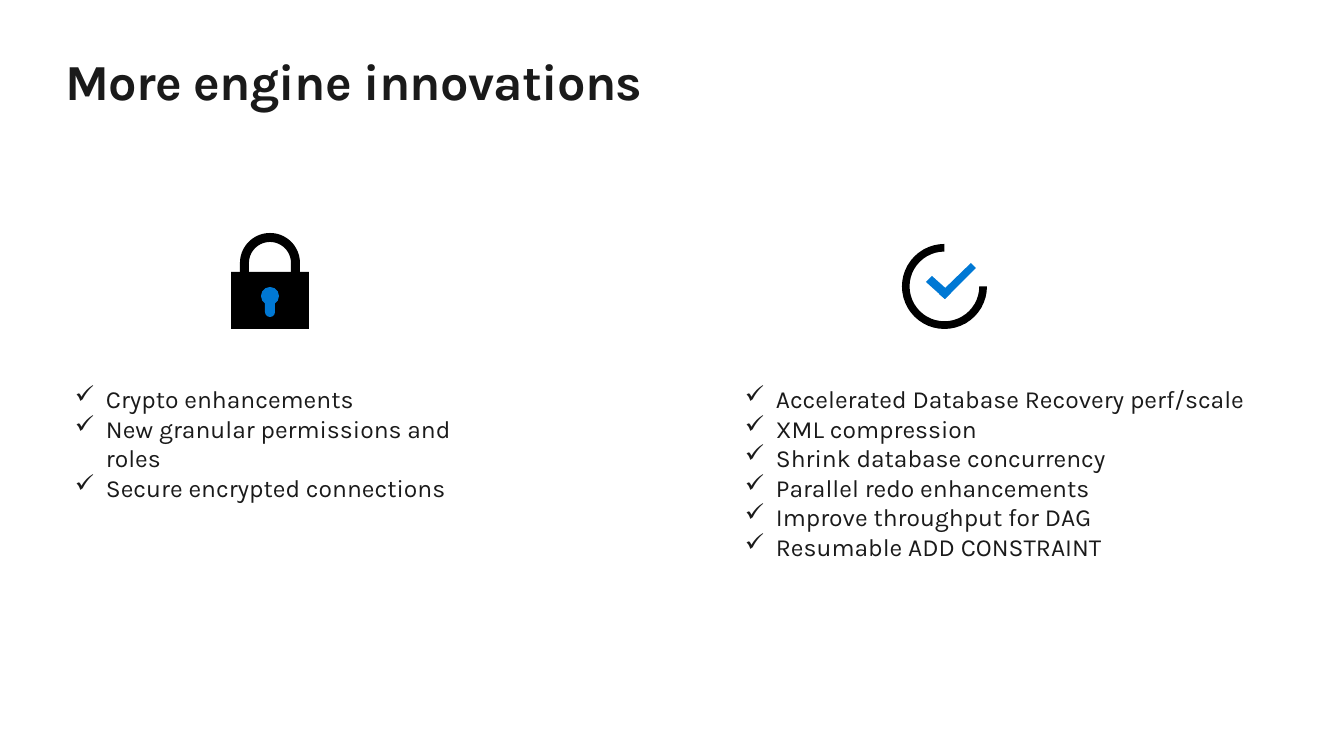
"""Build the "More engine innovations" slide with two icon-topped checklists."""
from math import cos, pi, sin

from lxml.etree import SubElement
from pptx import Presentation
from pptx.dml.color import RGBColor
from pptx.enum.shapes import MSO_SHAPE as SHAPE
from pptx.enum.text import MSO_ANCHOR as ANCHOR, PP_ALIGN as ALIGN
from pptx.oxml.ns import qn
from pptx.util import Pt

PX = 914400 / 100.8
FONT, INK, BLACK, BLUE = "Karla", "1A1A1A", "000000", "0078D4"


def px(*lengths):
    return [round(n * PX) for n in lengths]


def paint(fmt, color):
    if hasattr(fmt, "solid"):
        fmt.solid()
        fmt.fore_color.rgb = RGBColor.from_string(color)
    else:
        fmt.color.rgb = RGBColor.from_string(color)


prs = Presentation()
prs.slide_width, prs.slide_height = px(1344, 756)
s = prs.slides.add_slide(prs.slide_layouts[5])

title = s.shapes.title
title.left, title.top, title.width, title.height = px(65, 50, 1215, 61)
tf = title.text_frame
tf.margin_left = tf.margin_right = tf.margin_top = tf.margin_bottom = 0
tf.vertical_anchor = ANCHOR.TOP
tf.word_wrap = True
p = tf.paragraphs[0]
p.alignment = ALIGN.LEFT
p.space_after = Pt(12)
r = p.add_run()
r.text = "More engine innovations"
r.font.name, r.font.size, r.font.bold = FONT, Pt(36), True
paint(r.font, INK)
r.font._element.set("spc", "-50")

padlock = s.shapes.add_group_shape()
progress = s.shapes.add_group_shape()

presets = [
    (padlock, SHAPE.RECTANGLE, (231, 272, 78, 57), BLACK, []),
    (padlock, SHAPE.OVAL, (261, 287, 18, 18), BLUE, []),
    (padlock, SHAPE.ROUNDED_RECTANGLE, (265, 296, 10, 21), BLUE, [0.5]),
    (progress, SHAPE.BLOCK_ARC, (902, 244, 85, 85), BLACK, [0, 162, 0.09]),
]
for group, kind, box, color, adjustments in presets:
    sp = group.shapes.add_shape(kind, *px(*box))
    for i, value in enumerate(adjustments):
        sp.adjustments[i] = value
    sp.shadow.inherit = False
    sp.line.fill.background()
    paint(sp.fill, color)

angles = [pi * i / 36 for i in range(37)]
outer = [(270 - 30 * cos(a), 263 - 30 * sin(a)) for a in angles]
inner = [(270 + 21 * cos(a), 263 - 21 * sin(a)) for a in angles]
shackle = [(240, 282), *outer, (300, 282), (291, 282), *inner, (249, 282)]
long_stroke = [(939, 294), (945, 299), (976, 268), (971, 263)]
short_stroke = [(945, 299), (951, 293), (932, 276), (926, 282)]
for group, outline, color in [
    (padlock, shackle, BLACK),
    (progress, long_stroke, BLUE),
    (progress, short_stroke, BLUE),
]:
    start, *rest = [px(*point) for point in outline]
    fb = group.shapes.build_freeform(*start)
    fb.add_line_segments(rest, close=True)
    sp = fb.convert_to_shape()
    sp.shadow.inherit = False
    sp.line.fill.background()
    paint(sp.fill, color)

checklists = [
    ((65, 379, 450, 100), [
        "Crypto enhancements",
        "New granular permissions and roles",
        "Secure encrypted connections",
    ]),
    ((735, 379, 544, 190), [
        "Accelerated Database Recovery perf/scale",
        "XML compression",
        "Shrink database concurrency",
        "Parallel redo enhancements",
        "Improve throughput for DAG",
        "Resumable ADD CONSTRAINT",
    ]),
]
indent, = px(31)
for box, items in checklists:
    tf = s.shapes.add_textbox(*px(*box)).text_frame
    tf.word_wrap = True
    for i, item in enumerate(items):
        p = tf.add_paragraph() if i else tf.paragraphs[0]
        pPr = p._p.get_or_add_pPr()
        pPr.set("marL", str(indent))
        pPr.set("indent", str(-indent))
        SubElement(pPr, qn("a:buFont"), typeface="OpenSymbol")
        SubElement(pPr, qn("a:buChar"), char="✓")
        r = p.add_run()
        r.text = item
        r.font.name, r.font.size = FONT, Pt(17.6)
        paint(r.font, INK)

prs.save("out.pptx")
